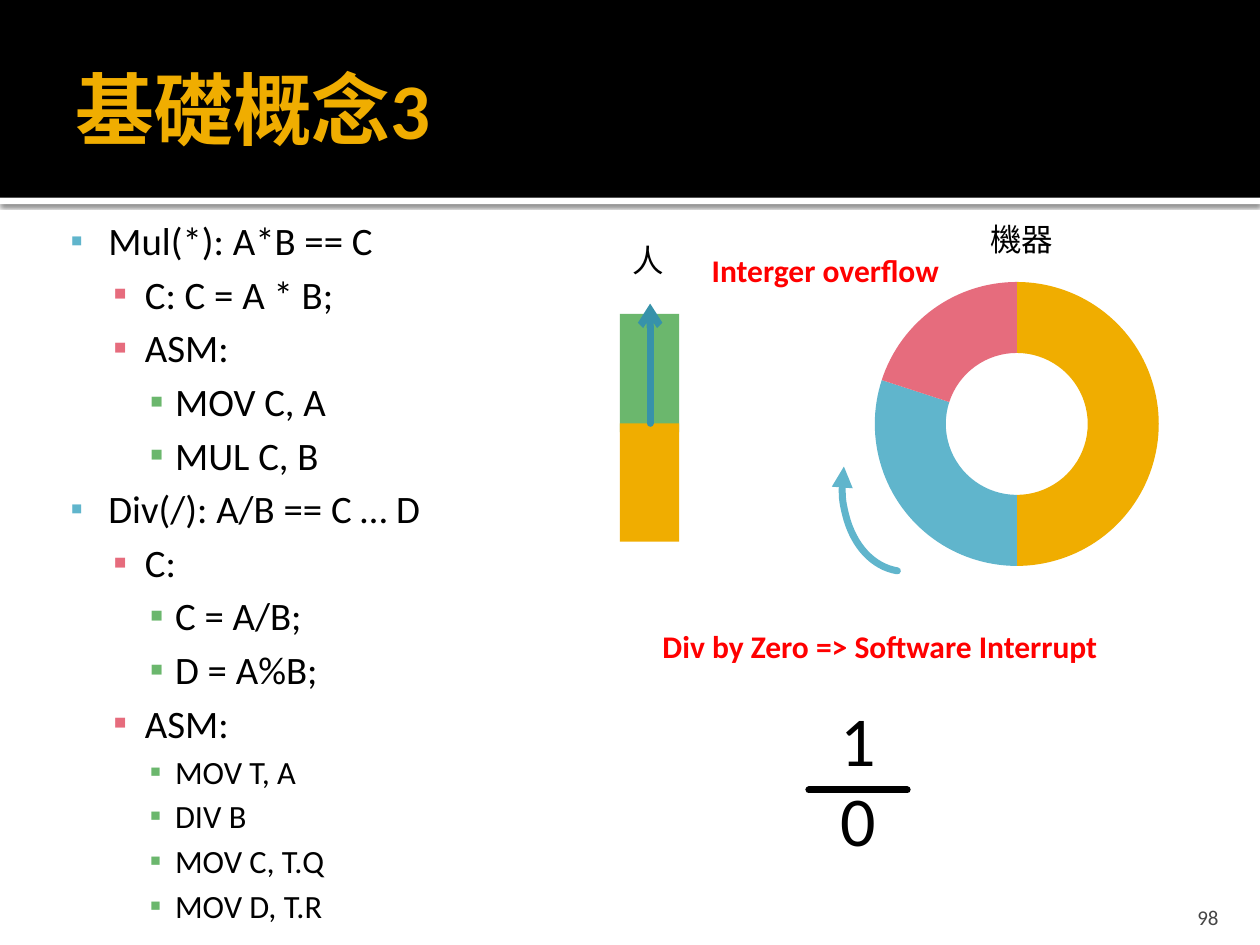
import pptx
import pptx.chart.data
import pptx.dml.color
import pptx.enum.chart
import pptx.enum.shapes
import pptx.enum.text
import pptx.oxml
import pptx.oxml.ns
import pptx.util

Inches, Pt = pptx.util.Inches, pptx.util.Pt
Shape = pptx.enum.shapes.MSO_SHAPE
Anchor = pptx.enum.text.MSO_ANCHOR
Align = pptx.enum.text.PP_ALIGN
FONT = "Calibri"
WIDTH, HEIGHT = 10, 7.5
BLACK, WHITE, RED = "000000", "FFFFFF", "FF0000"
GOLD, BLUE, PINK, GREEN = "F0AD00", "60B5CC", "E66C7D", "6BB76D"

# level: (text indent, hanging indent, bullet colour, bullet size in %)
LEVELS = {1: (0.8, 0.3, BLUE, 90), 2: (1.09, 0.25, PINK, 100), 3: (1.33, 0.2, GREEN, 100)}
NORMAL, SMALL = 22.2, 18.5
OUTLINE = [
    (1, "Mul(*): A*B == C", NORMAL),
    (2, "C: C = A * B;", NORMAL),
    (2, "ASM:", NORMAL),
    (3, "MOV C, A", NORMAL),
    (3, "MUL C, B", NORMAL),
    (1, "Div(/): A/B == C … D", NORMAL),
    (2, "C:", NORMAL),
    (3, "C = A/B;", NORMAL),
    (3, "D = A%B;", NORMAL),
    (2, "ASM:", NORMAL),
    (3, "MOV T, A", SMALL),
    (3, "DIV B", SMALL),
    (3, "MOV C, T.Q", SMALL),
    (3, "MOV D, T.R", SMALL),
]


def color(value):
    return pptx.dml.color.RGBColor.from_string(value)


def share(*percents):
    """Turn alternating x, y percentages of the slide into lengths."""
    return [Inches(percent / 100 * (HEIGHT if index % 2 else WIDTH))
            for index, percent in enumerate(percents)]


def add_xml(parent, tag, content=""):
    namespace = pptx.oxml.ns.nsdecls("a")
    tag_name = tag.split()[0]
    parent.append(pptx.oxml.parse_xml(f"<a:{tag} {namespace}>{content}</a:{tag_name}>"))


def set_insets(frame, left, top, right, bottom):
    frame.margin_left, frame.margin_top = Inches(left), Inches(top)
    frame.margin_right, frame.margin_bottom = Inches(right), Inches(bottom)


def move(shape, *percents):
    shape.left, shape.top, shape.width, shape.height = share(*percents)


def add_span(para, text, size, fill, bold=False):
    span = para.add_run()
    span.text = text
    span.font.name, span.font.size, span.font.bold = FONT, Pt(size), bold
    span.font.color.rgb = color(fill)


def add_block(page, fill, *percents):
    block = page.shapes.add_shape(Shape.RECTANGLE, *share(*percents))
    block.shadow.inherit = False
    block.fill.solid()
    block.fill.fore_color.rgb = color(fill)
    block.line.fill.background()
    return block


def add_label(page, text, size, percents, fill=BLACK, bold=False, wrap=False):
    box = page.shapes.add_textbox(*share(*percents))
    box.text_frame.word_wrap = wrap
    add_span(box.text_frame.paragraphs[0], text, size, fill, bold)
    return box


def style_stroke(shape, fill, arrow=None):
    shape.line.color.rgb = color(fill)
    shape.line.width = Pt(4)
    stroke = shape.line._get_or_add_ln()
    stroke.set("cap", "rnd")
    add_xml(stroke, "round")
    if arrow:
        add_xml(stroke, f'tailEnd type="{arrow}"')


def add_line(page, fill, percents, arrow=None):
    line = page.shapes.add_connector(pptx.enum.shapes.MSO_CONNECTOR.STRAIGHT, *share(*percents))
    style_stroke(line, fill, arrow)
    add_xml(line.element.spPr, "effectLst")


def add_turn_arrow(page):
    arc = page.shapes.add_shape(Shape.ARC, *share(66.9, 40.53, 11, 20))
    arc.rotation = 189.1
    arc.fill.background()
    style_stroke(arc, BLUE, "triangle")
    arc.shadow.inherit = False


def add_header(page):
    title = page.shapes.title
    strip = add_block(page, WHITE, 0, 20.93, 100, 0.67)
    effects = strip.element.spPr.find(pptx.oxml.ns.qn("a:effectLst"))
    add_xml(effects, 'outerShdw blurRad="31750" dist="10160" dir="5400000" rotWithShape="0"',
            f'<a:srgbClr val="{BLACK}"><a:alpha val="60000"/></a:srgbClr>')
    band = add_block(page, BLACK, 0, 0, 100, 20.93)
    for block in (strip, band):
        title.element.addprevious(block.element)

    move(title, 5, 2.27, 90, 18.27)
    frame = title.text_frame
    set_insets(frame, 0.1, 0.05, 0.05, 0.05)
    frame.vertical_anchor = Anchor.MIDDLE
    frame.paragraphs[0].alignment = Align.LEFT
    add_span(frame.paragraphs[0], "基礎概念3", 45, GOLD, bold=True)


def add_outline(page):
    body = page.placeholders[1]
    move(body, 0, 21.6, 95, 78.4)
    frame = body.text_frame
    set_insets(frame, 0.06, 0.1, 0.1, 0.05)
    frame.auto_size = pptx.enum.text.MSO_AUTO_SIZE.NONE
    for index, (level, text, size) in enumerate(OUTLINE):
        para = frame.add_paragraph() if index else frame.paragraphs[0]
        para.level = level - 1
        para.space_before = Pt(size * 0.18 if index else 0)
        indent, hanging, bullet, bullet_size = LEVELS[level]
        props = para._p.get_or_add_pPr()
        props.set("marL", str(Inches(indent)))
        props.set("indent", str(-Inches(hanging)))
        add_xml(props, "buClr", f'<a:srgbClr val="{bullet}"/>')
        add_xml(props, f'buSzPct val="{bullet_size * 1000}"')
        add_xml(props, f'buFont typeface="{FONT}"')
        add_xml(props, 'buChar char="▪"')
        add_span(para, text, size, BLACK)


def add_ring(page):
    data = pptx.chart.data.CategoryChartData()
    data.categories = ["1", "2", "3"]
    data.add_series("Series 1", (50, 30, 20))
    kind = pptx.enum.chart.XL_CHART_TYPE.DOUGHNUT
    chart = page.shapes.add_chart(kind, *share(64.2, 28, 33, 33.73), data).chart
    chart.has_legend = chart.has_title = False
    chart.font.name, chart.font.size = FONT, Pt(10)
    chart.font.color.rgb = color(BLACK)
    for index, fill in enumerate((GOLD, BLUE, PINK)):
        point = chart.plots[0].series[0].points[index].format
        point.fill.solid()
        point.fill.fore_color.rgb = color(fill)
        point.line.fill.background()


def add_fraction(page):
    add_line(page, BLACK, (64.2, 83.6, 72, 83.6))
    for digit, top in (("1", 73.07), ("0", 81.47)):
        add_label(page, digit, 40, (65.7, top, 4.7, 10.27), wrap=True)


def main():
    deck = pptx.Presentation()
    deck.slide_width, deck.slide_height = Inches(WIDTH), Inches(HEIGHT)
    page = deck.slides.add_slide(deck.slide_layouts[1])
    add_header(page)
    add_outline(page)

    number = add_label(page, "98", 12, (89.7, 94.4, 8, 4), "454545", wrap=True)
    set_insets(number.text_frame, 0.1, 0.05, 0.1, 0)
    number.text_frame.vertical_anchor = Anchor.BOTTOM
    number.text_frame.paragraphs[0].alignment = Align.RIGHT

    add_label(page, "人", 18, (49.2, 24.8, 4.5, 5.33))
    for fill, top in ((GREEN, 33.2), (GOLD, 44.8)):
        add_block(page, fill, 49.2, top, 4.7, 12.53)
    add_line(page, "3792AA", (51.6, 44.8, 51.6, 32.13), "arrow")

    add_ring(page)
    add_label(page, "機器", 18, (77.6, 22.67, 7.1, 5.33))
    add_turn_arrow(page)
    add_label(page, "Div by Zero => Software Interrupt", 18, (51.6, 65.73, 38.4, 5.33), RED, True)
    add_label(page, "Interger overflow", 18, (55.5, 25.87, 20.8, 5.33), RED, True)
    add_fraction(page)
    deck.save("out.pptx")


if __name__ == "__main__":
    main()
